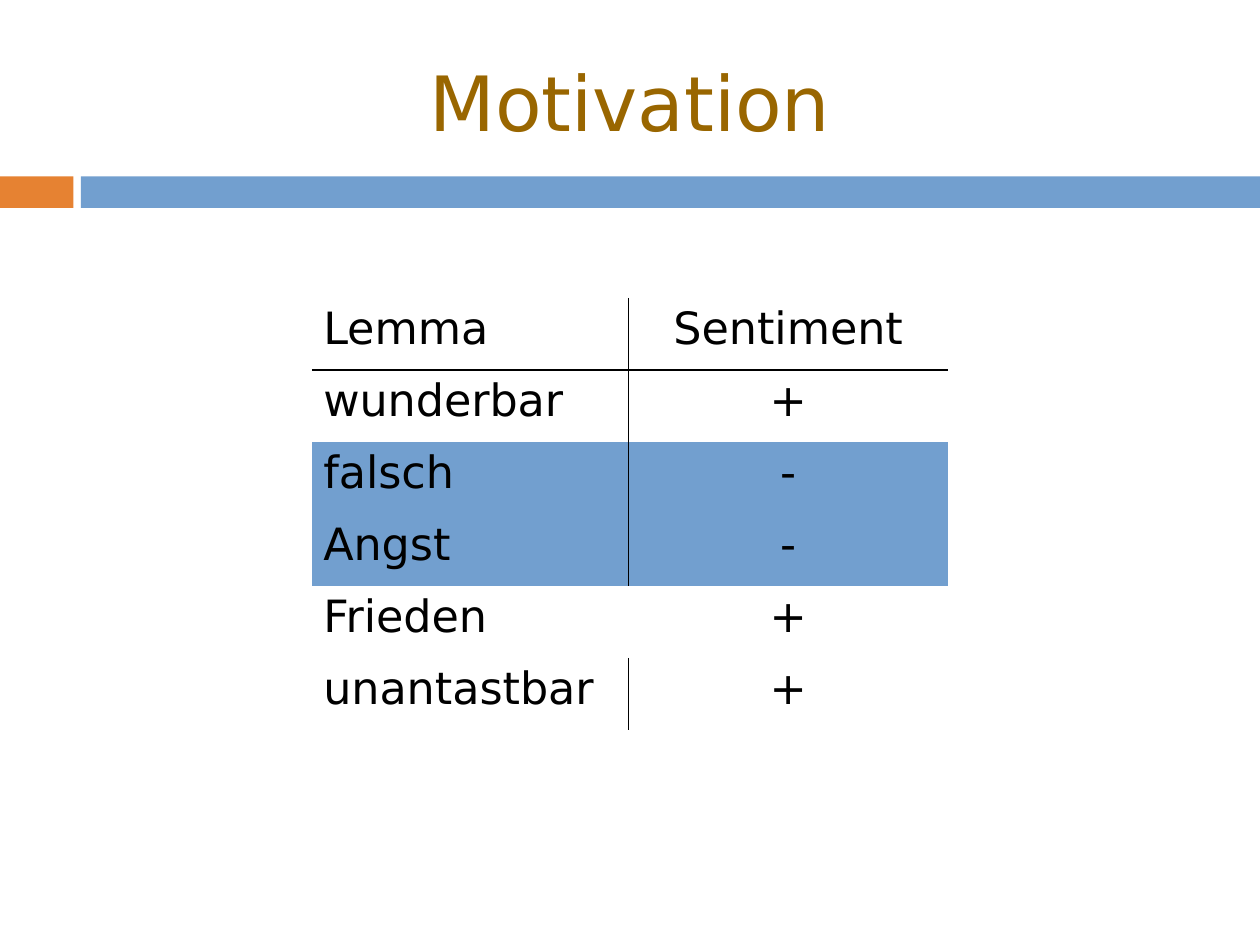
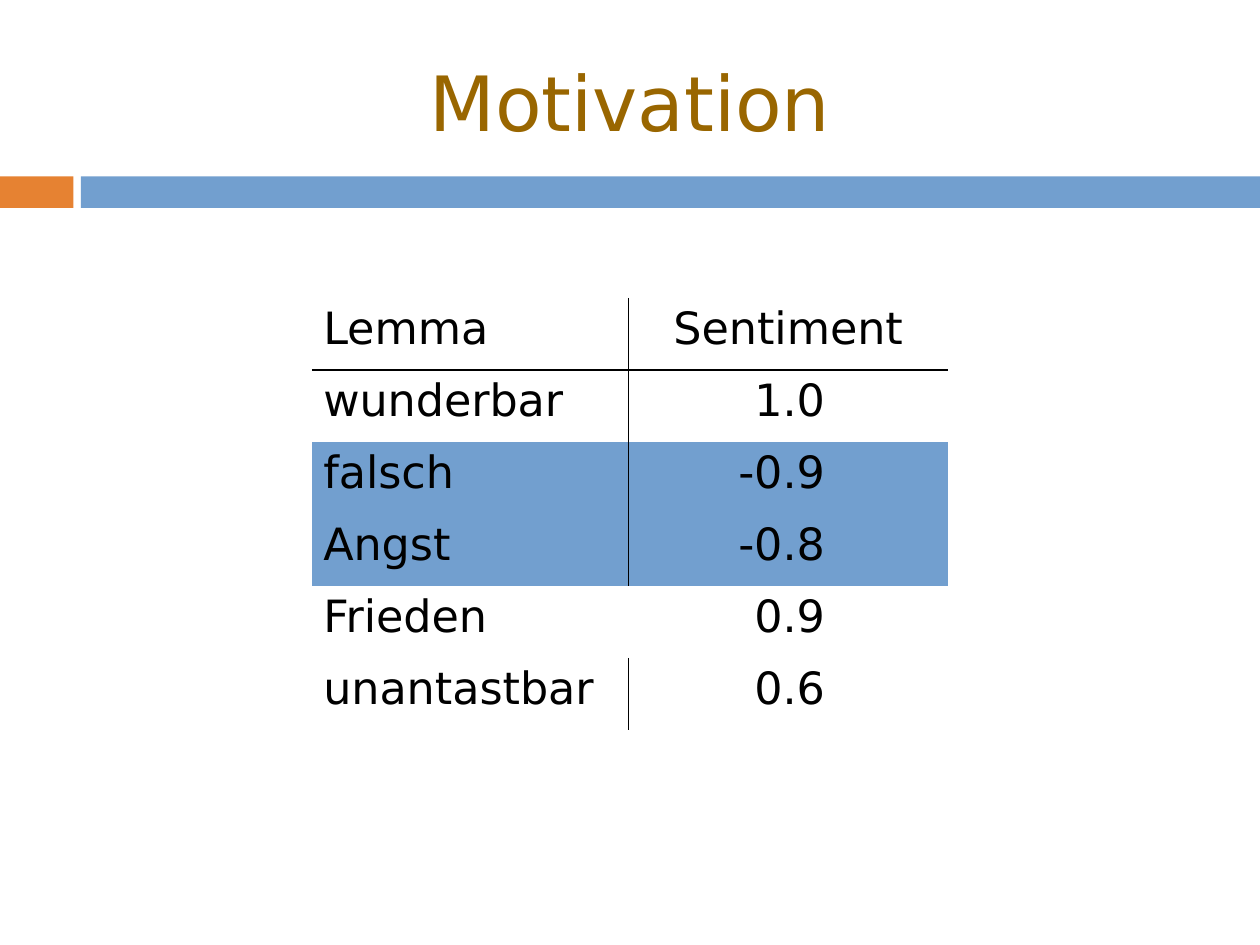
from dataclasses import dataclass

from lxml import etree
from pptx import Presentation
from pptx.dml.color import RGBColor
from pptx.enum.shapes import MSO_SHAPE
from pptx.enum.text import MSO_ANCHOR, MSO_AUTO_SIZE, PP_ALIGN
from pptx.oxml.ns import qn
from pptx.util import Cm, Pt

RECTANGLE = MSO_SHAPE.RECTANGLE
MIDDLE = MSO_ANCHOR.MIDDLE
NO_AUTOFIT = MSO_AUTO_SIZE.NONE
LEFT, CENTER, RIGHT = PP_ALIGN.LEFT, PP_ALIGN.CENTER, PP_ALIGN.RIGHT
TITLE_ONLY = 5
PLAIN_TABLE_STYLE = "{2D5ABB26-0587-4C30-8999-92F81FD0307C}"


@dataclass(frozen=True)
class Theme:
    font: str = "DejaVu Sans"
    title_size: int = 48
    table_size: int = 28
    rule_width: float = 1.13
    title: str = "996600"
    text: str = "000000"
    paper: str = "FFFFFF"
    accent: str = "E68232"
    band: str = "729FCF"


def apply(target, values):
    for name, value in values.items():
        setattr(target, name, value)


class Deck:
    WIDTH, HEIGHT = 28, 21
    BAND_TOP, BAND_HEIGHT = 3.92, 0.7
    ACCENT_WIDTH, BAND_LEFT = 1.63, 1.8

    def __init__(self, theme):
        self.theme = theme
        self.presentation = Presentation()
        apply(self.presentation, {"slide_width": Cm(self.WIDTH), "slide_height": Cm(self.HEIGHT)})
        self.layout = self.presentation.slide_layouts[TITLE_ONLY]
        self.slide = None

    def add_slide(self, title):
        first = self.slide is None
        self.slide = self.presentation.slides.add_slide(self.layout)
        if first:
            self.move_bands_to_layout()
        self.set_title(title)

    def move_bands_to_layout(self):
        bands = [
            self.add_band(0, self.ACCENT_WIDTH, self.theme.accent),
            self.add_band(self.BAND_LEFT, self.WIDTH - self.BAND_LEFT, self.theme.band),
        ]
        tree = self.layout.shapes.element
        for placeholder in list(self.layout.placeholders)[1:]:
            tree.remove(placeholder.element)
        for band in bands:
            tree.append(band.element)

    def add_band(self, left, width, color):
        shape = self.slide.shapes.add_shape(
            RECTANGLE, Cm(left), Cm(self.BAND_TOP), Cm(width), Cm(self.BAND_HEIGHT))
        shape.shadow.inherit = False
        shape.fill.solid()
        shape.fill.fore_color.rgb = RGBColor.from_string(color)
        shape.line.fill.background()
        return shape

    def set_title(self, text):
        shape = self.slide.shapes.title
        apply(shape, {"left": 0, "top": Cm(0.85), "width": Cm(self.WIDTH), "height": Cm(2.77)})
        frame = shape.text_frame
        apply(frame, {"margin_left": 0, "margin_top": 0, "margin_right": 0, "margin_bottom": 0,
                      "vertical_anchor": MIDDLE, "auto_size": NO_AUTOFIT, "word_wrap": True})
        self.add_text(frame, text, self.theme.title_size, self.theme.title, CENTER)

    def add_text(self, frame, text, size, color, alignment):
        paragraph = frame.paragraphs[0]
        paragraph.alignment = alignment
        run = paragraph.add_run()
        run.text = text
        apply(run.font, {"name": self.theme.font, "size": Pt(size)})
        run.font.color.rgb = RGBColor.from_string(color)

    def add_border(self, cell, side):
        properties = cell._tc.get_or_add_tcPr()
        line = etree.SubElement(properties, qn(f"a:{side}"), w=str(Pt(self.theme.rule_width)))
        fill = etree.SubElement(line, qn("a:solidFill"))
        etree.SubElement(fill, qn("a:srgbClr"), val=self.theme.text)

    def add_table(self, rows, shaded, unruled, value_alignment, value_inset):
        widths, row_height = (7.04, 7.09), 1.6
        shape = self.slide.shapes.add_table(
            len(rows), len(widths), Cm(6.93), Cm(6.62), Cm(sum(widths)), Cm(row_height * len(rows)))
        table = shape.table
        apply(table, {"first_row": False, "horz_banding": False})
        table._tbl.tblPr.find(qn("a:tableStyleId")).text = PLAIN_TABLE_STYLE
        for column, width in zip(table.columns, widths):
            column.width = Cm(width)
        for row_index, row in enumerate(rows):
            table.rows[row_index].height = Cm(row_height)
            is_header = row_index == 0
            color = self.theme.band if row[0] in shaded else self.theme.paper
            for column_index, text in enumerate(row):
                cell = table.cell(row_index, column_index)
                is_lemma = column_index == 0
                alignment = LEFT if is_lemma else CENTER if is_header else value_alignment
                if is_lemma and row[0] not in unruled:
                    self.add_border(cell, "lnR")
                if is_header:
                    self.add_border(cell, "lnB")
                cell.fill.solid()
                cell.fill.fore_color.rgb = RGBColor.from_string(color)
                if alignment == RIGHT:
                    cell.margin_right = Cm(value_inset)
                self.add_text(cell.text_frame, text, self.theme.table_size, self.theme.text, alignment)


def main():
    lemmas = ("wunderbar", "falsch", "Angst", "Frieden", "unantastbar")
    sentiments = (
        (("+", "-", "-", "+", "+"), CENTER),
        (("1.0", "-0.9", "-0.8", "0.9", "0.6"), RIGHT),
    )
    deck = Deck(Theme())
    for values, alignment in sentiments:
        deck.add_slide("Motivation")
        deck.add_table([("Lemma", "Sentiment"), *zip(lemmas, values)],
                       shaded=("falsch", "Angst"), unruled=("Frieden",),
                       value_alignment=alignment, value_inset=2.73)
    deck.presentation.save("out.pptx")


if __name__ == "__main__":
    main()
